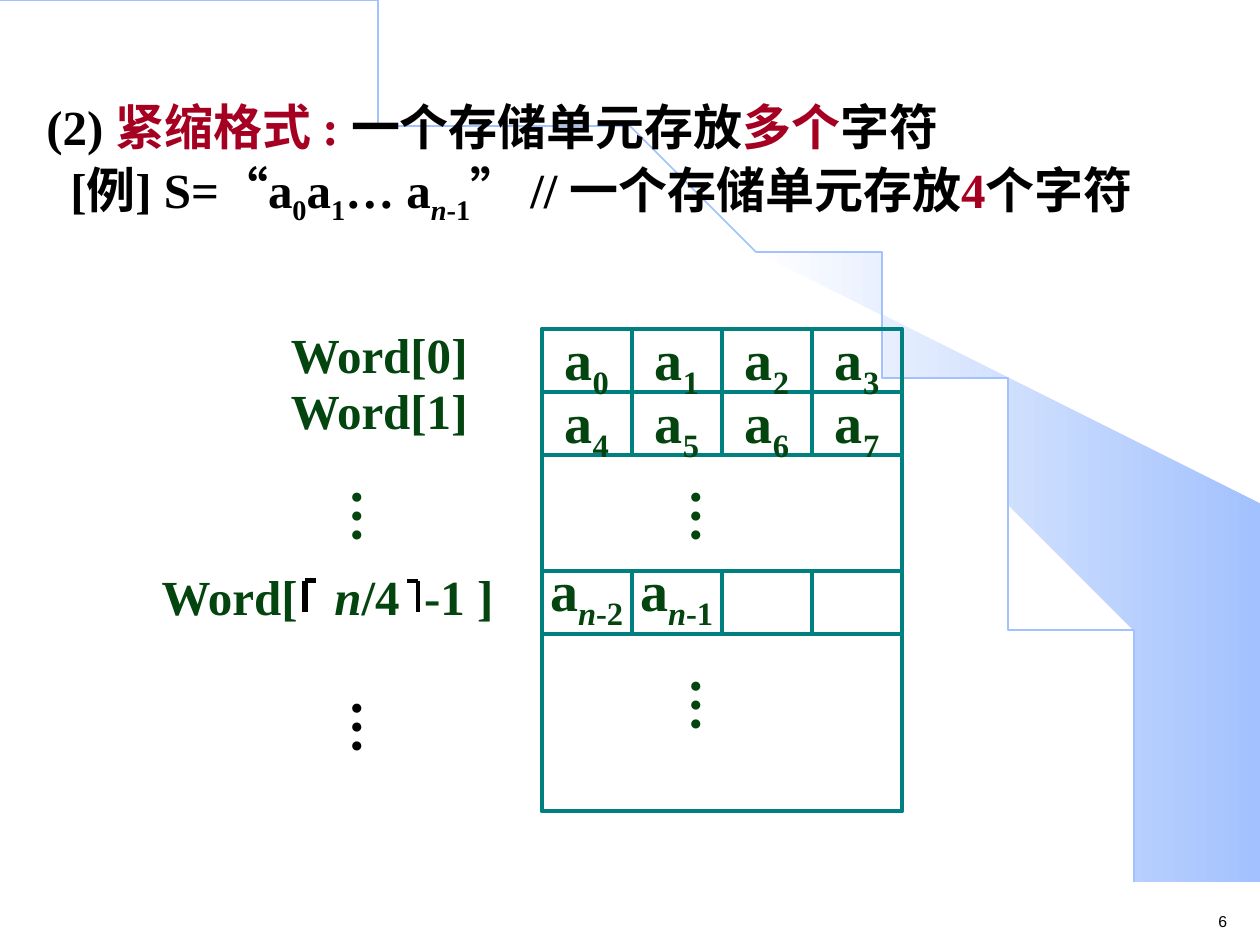
from math import cos, pi, sin

from lxml import etree
from pptx import Presentation
from pptx.dml.color import RGBColor
from pptx.enum import shapes, text
from pptx.oxml.ns import qn
from pptx.util import Inches, Pt

WIDTH, HEIGHT = 10, 7.5
SERIF, CJK, SANS = "Times New Roman", "Noto Sans CJK SC", "Arial"
BLACK, RED, GREEN, TEAL, BLUE = "000000", "A50021", "04440F", "008080", "A2C1FE"

# Runs are (text, style); style keys: color, font, sub, italic, gap (points)
SUB, SUB_ITALIC = {"sub": True}, {"sub": True, "italic": True}
HEADING = [("(2) ", {}), ("紧缩格式 : ", {"color": RED}), ("一个存储单元存放", {}),
           ("多个", {"color": RED}), ("字符", {})]
EXAMPLE = [("[例] S=", {}), ("“", {"font": CJK}), ("a", {}), ("0", SUB), ("a", {}),
           ("1", SUB), ("… a", {}), ("n", SUB_ITALIC), ("-1", SUB), ("”", {"font": CJK}),
           (" // 一个存储单元存放", {}), ("4", {"color": RED}), ("个字符", {})]
LAST_WORD = [("Word[", {}), (" ", {"gap": 14}), ("n", {"italic": True}), ("/4", {}),
             (" ", {"gap": 7}), ("-1 ]", {})]

# Memory grid: four characters to a word
LEFT, TOP, COLUMN, ROW, COLUMNS = 4.3, 2.61, 0.715, 0.5, 4
GRID_WIDTH, GRID_HEIGHT = COLUMN * COLUMNS, 3.83
LAST_TOP = 4.53
RULES = [TOP + ROW, TOP + 2 * ROW, LAST_TOP, LAST_TOP + ROW]
COLUMN_SPANS = [(TOP, TOP + 2 * ROW), (LAST_TOP, LAST_TOP + ROW)]
TAIL_INDEXES = ["-2", "-1"]
DOTS = [(2.51, 3.78, GREEN), (5.2, 3.78, GREEN), (5.2, 5.28, GREEN), (2.51, 5.45, BLACK)]
CEILINGS = [(2.42, 2.51, 2.42, 3), (3.23, 3.32, 3.32, 2.5)]  # from, to, stem, weight
CEILING_TOP, CEILING_BOTTOM = 4.61, 4.86

ARC_X, ARC_Y = 9.2, 7.49
BEAM = [(9.2, 7.48), (9.99, 7.49), (9.99, 4.23), (5.89, 1.73), (6.24, 1.99), (6.53, 2.22),
        (6.85, 2.5), (7.16, 2.8), (7.62, 3.3), (8.03, 3.84), (8.32, 4.31), (8.58, 4.79),
        (8.78, 5.28), (8.93, 5.72), (9.03, 6.09), (9.13, 6.56), (9.17, 6.96)]


def rgb(color):
    return RGBColor.from_string(color)


def add_outline(slide, points, close):
    builder = slide.shapes.build_freeform(*points[0], scale=Inches(1))
    builder.add_line_segments(points[1:], close=close)
    shape = builder.convert_to_shape()
    shape.shadow.inherit = False
    return shape


def add_line(slide, start, end, color, weight):
    line = slide.shapes.add_connector(
        shapes.MSO_CONNECTOR.STRAIGHT, *(Inches(v) for v in (*start, *end)))
    line.line.color.rgb = rgb(color)
    line.line.width = Pt(weight)
    etree.SubElement(line._element.spPr, qn("a:effectLst"))


def add_run(paragraph, words, color=None, font=None, sub=False, italic=False, gap=0):
    run = paragraph.add_run()
    run.text = words
    properties = run._r.get_or_add_rPr()
    if sub:
        properties.set("baseline", "-25000")
    if gap:
        properties.set("spc", str(gap * 100))
    if italic:
        run.font.italic = True
    if color:
        run.font.color.rgb = rgb(color)
    if font:
        run.font.name = font
    etree.SubElement(properties, qn("a:ea")).set("typeface", CJK)


def fill_paragraph(paragraph, runs, size, color, font=SERIF, bold=True):
    paragraph.font.size = Pt(size)
    paragraph.font.bold = bold
    for words, style in runs:
        add_run(paragraph, words, **{"color": color, "font": font, **style})


def add_text(slide, box, runs, size, color=GREEN, align=text.PP_ALIGN.CENTER, **style):
    shape = slide.shapes.add_textbox(*(Inches(v) for v in box))
    frame = shape.text_frame
    frame.word_wrap = True
    paragraph = frame.paragraphs[0]
    paragraph.alignment = align
    fill_paragraph(paragraph, runs, size, color, **style)
    return frame


def indent(paragraph, margin, first):
    properties = paragraph._p.get_or_add_pPr()
    properties.set("marL", str(Inches(margin)))
    properties.set("indent", str(Inches(first)))


def draw_background(slide):
    beam = add_outline(slide, BEAM, True)
    beam.line.fill.background()
    beam.fill.gradient()
    beam.fill.gradient_angle = 0
    for stop, color in zip(beam.fill.gradient_stops, ("FFFFFF", BLUE)):
        stop.color.rgb = rgb(color)
    steps = 90
    angles = [pi / 2 * i / steps for i in range(steps + 1)]
    arc = add_outline(slide, [(ARC_X * sin(a), ARC_Y * (1 - cos(a))) for a in angles], False)
    arc.fill.background()
    arc.line.color.rgb = rgb(BLUE)
    arc.line.width = Pt(1)


def draw_body(slide):
    frame = add_text(slide, (0.27, 0.72, 9.14, 1.92), HEADING, 28, BLACK,
                     text.PP_ALIGN.LEFT)
    indent(frame.paragraphs[0], 0.38, -0.38)
    example = frame.add_paragraph()
    indent(example, 0.38, -0.19)
    example.space_before = Pt(2)
    fill_paragraph(example, EXAMPLE, 28, BLACK)


def draw_grid(slide):
    frame = slide.shapes.add_shape(
        shapes.MSO_SHAPE.RECTANGLE, *(Inches(v) for v in (LEFT, TOP, GRID_WIDTH, GRID_HEIGHT)))
    frame.shadow.inherit = False
    frame.fill.background()
    frame.line.color.rgb = rgb(TEAL)
    frame.line.width = Pt(2.5)
    for y in RULES:
        add_line(slide, (LEFT, y), (LEFT + GRID_WIDTH, y), TEAL, 2.25)
    for top, bottom in COLUMN_SPANS:
        for column in range(1, COLUMNS):
            x = LEFT + column * COLUMN
            add_line(slide, (x, top), (x, bottom), TEAL, 2.25)
    for index in range(2 * COLUMNS):
        row, column = divmod(index, COLUMNS)
        box = (LEFT + column * COLUMN, TOP - 0.08 + row * ROW, COLUMN, 0.63)
        add_text(slide, box, [("a", {}), (str(index), SUB)], 32)
    for column, offset in enumerate(TAIL_INDEXES):
        box = (LEFT - 0.09 + column * COLUMN, LAST_TOP - 0.17, 0.89, 0.63)
        add_text(slide, box, [("a", {}), ("n", SUB_ITALIC), (offset, SUB)], 32)


def draw_labels(slide):
    for row in range(2):
        add_text(slide, (2.16, 2.53 + 0.44 * row, 1.7, 0.57), [(f"Word[{row}]", {})], 28)
    add_text(slide, (0.9, 4.45, 3.4, 0.57), LAST_WORD, 28)
    for start, end, stem, weight in CEILINGS:
        add_line(slide, (start, CEILING_TOP), (end, CEILING_TOP), BLACK, weight)
        add_line(slide, (stem, CEILING_TOP), (stem, CEILING_BOTTOM), BLACK, weight)
    for x, y, color in DOTS:
        dots = add_text(slide, (x, y, 0.79, 0.71), [("…", {})], 32, color, text.PP_ALIGN.LEFT)
        dots._txBody.bodyPr.set("vert", "eaVert")


def main():
    presentation = Presentation()
    presentation.slide_width, presentation.slide_height = Inches(WIDTH), Inches(HEIGHT)
    slide = presentation.slides.add_slide(presentation.slide_layouts[6])
    draw_background(slide)
    draw_body(slide)
    draw_grid(slide)
    draw_labels(slide)
    add_text(slide, (9.53, 7.19, 0.35, 0.25), [("6", {})], 9, BLACK, font=SANS, bold=False)
    presentation.save("out.pptx")


if __name__ == "__main__":
    main()
